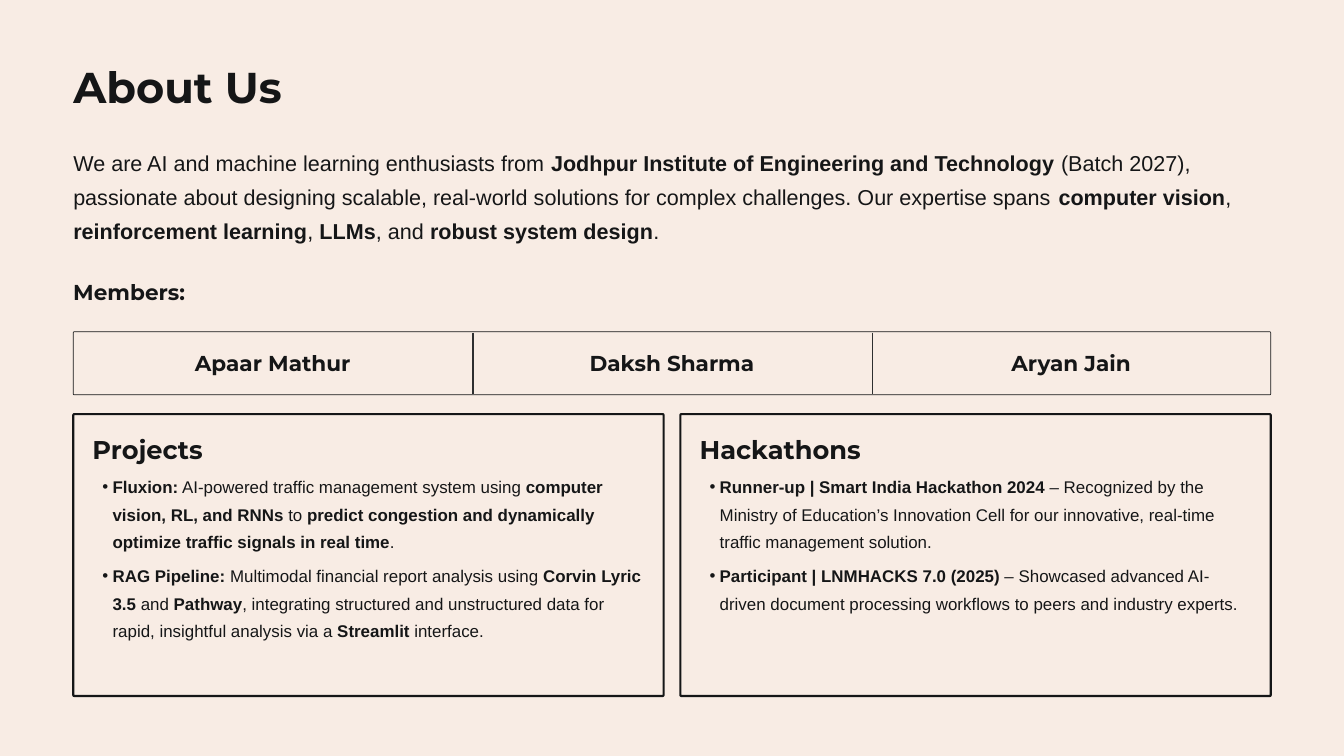
from lxml.etree import SubElement
from pptx import Presentation
from pptx.dml.color import RGBColor
from pptx.enum.shapes import MSO_CONNECTOR, MSO_SHAPE
from pptx.enum.text import MSO_ANCHOR, MSO_AUTO_SIZE, PP_ALIGN
from pptx.oxml.ns import qn
from pptx.util import Pt

COLORS = {"paper": "F8ECE4", "ink": "151617", "divider": "2E2F30"}
HEADING, BODY = "Montserrat", "Arial"
LEFT, WIDTH = 78.5, 1283
CARD_WIDTH, CARD_TOP, CARD_HEIGHT = 632.5, 443.75, 302

INTRO = (
    "We are AI and machine learning enthusiasts from **Jodhpur Institute of Engineering "
    "and Technology** (Batch 2027), passionate about designing scalable, real-world "
    "solutions for complex challenges. Our expertise spans **computer vision**, "
    "**reinforcement learning**, **LLMs**, and **robust system design**."
)
MEMBERS = ["Apaar Mathur", "Daksh Sharma", "Aryan Jain"]
CARDS = [
    ("Projects", [
        "**Fluxion:** AI-powered traffic management system using **computer vision, RL, "
        "and RNNs** to **predict congestion and dynamically optimize traffic signals in "
        "real time**.",
        "**RAG Pipeline:** Multimodal financial report analysis using **Corvin Lyric 3.5** "
        "and **Pathway**, integrating structured and unstructured data for rapid, "
        "insightful analysis via a **Streamlit** interface.",
    ]),
    ("Hackathons", [
        "**Runner-up | Smart India Hackathon 2024** – Recognized by the Ministry of "
        "Education’s Innovation Cell for our innovative, real-time traffic management "
        "solution.",
        "**Participant | LNMHACKS 7.0 (2025)** – Showcased advanced AI-driven document "
        "processing workflows to peers and industry experts.",
    ]),
]


def write(shape, at, paragraphs, font, size, leading, align=PP_ALIGN.LEFT, bullets=False):
    """Place a text shape and fill it; **marked** stretches become bold runs."""
    shape.left, shape.top, shape.width, shape.height = (Pt(value) for value in at)
    frame = shape.text_frame
    frame.word_wrap = True
    frame.auto_size = MSO_AUTO_SIZE.NONE
    frame.vertical_anchor = MSO_ANCHOR.TOP
    frame.margin_left = frame.margin_top = frame.margin_right = frame.margin_bottom = 0
    for index, text in enumerate(paragraphs):
        para = frame.add_paragraph() if index else frame.paragraphs[0]
        if bullets:
            properties = para._p.get_or_add_pPr()
            properties.set("marL", str(Pt(21.6)))
            properties.set("indent", str(Pt(-10.8)))
            SubElement(properties, qn("a:buChar")).set("char", "•")
        para.alignment = align
        para.line_spacing = Pt(leading)
        para.space_before = Pt(7 if index else 0)
        for part, words in enumerate(text.split("**")):
            if words:
                span = para.add_run()
                span.text = words
                span.font.name = font
                span.font.size = Pt(size)
                span.font.bold = part % 2 == 1
                span.font.color.rgb = RGBColor.from_string(COLORS["ink"])


def add_frame(shapes, left, top, width, height, line_width):
    frame = shapes.add_shape(
        MSO_SHAPE.ROUNDED_RECTANGLE, Pt(left), Pt(top), Pt(width), Pt(height))
    frame.adjustments[0] = 1 / height
    frame.shadow.inherit = False
    frame.fill.solid()
    frame.fill.fore_color.rgb = RGBColor.from_string(COLORS["paper"])
    frame.line.color.rgb = RGBColor.from_string(COLORS["ink"])
    frame.line.width = Pt(line_width)


deck = Presentation()
deck.slide_width, deck.slide_height = Pt(1440), Pt(810)
page = deck.slides.add_slide(deck.slide_layouts.get_by_name("Two Content"))
shapes = page.shapes
page.background.fill.solid()
page.background.fill.fore_color.rgb = RGBColor.from_string(COLORS["paper"])

# Title and introduction
title, *lists = page.placeholders
write(title, (LEFT, 62.5, 464, 60), ["**About Us**"], HEADING, 46.2, 57.5)
intro = shapes.add_textbox(0, 0, 0, 0)
write(intro, (LEFT, 151, WIDTH, 119.5), [INTRO], BODY, 23.1, 36.9)

# Members in three equal cells
label = shapes.add_textbox(0, 0, 0, 0)
write(label, (LEFT, 298, 232, 29.5), ["**Members:**"], HEADING, 23.1, 28.8)
add_frame(shapes, LEFT, 355.5, WIDTH, 67.5, 0.75)
cell_width = WIDTH / len(MEMBERS)
for index, member in enumerate(MEMBERS):
    left = LEFT + index * cell_width
    name = shapes.add_textbox(0, 0, 0, 0)
    write(name, (left, 373.75, cell_width, 29.5), [f"**{member}**"],
          HEADING, 23.1, 28.8, PP_ALIGN.CENTER)
    if index:
        divider = shapes.add_connector(
            MSO_CONNECTOR.STRAIGHT, Pt(left + 1), Pt(356.5), Pt(left + 1), Pt(422))
        divider.line.color.rgb = RGBColor.from_string(COLORS["divider"])
        divider.line.width = Pt(2)
        SubElement(divider._element.spPr, qn("a:effectLst"))

# Two cards, each with a heading and a list
for index, ((heading, items), body) in enumerate(zip(CARDS, lists)):
    left = LEFT + index * (WIDTH - CARD_WIDTH)
    add_frame(shapes, left, CARD_TOP, CARD_WIDTH, CARD_HEIGHT, 2.25)
    caption = shapes.add_textbox(0, 0, 0, 0)
    write(caption, (left + 20.5, 463, 279, 36), [f"**{heading}**"], HEADING, 27.5, 34.4)
    write(body, (left + 20.5, 503.25, 591, 221), items, BODY, 18.1, 29.4, bullets=True)
    shapes._spTree.append(body._element)  # bring the list in front of its card

deck.save("out.pptx")
